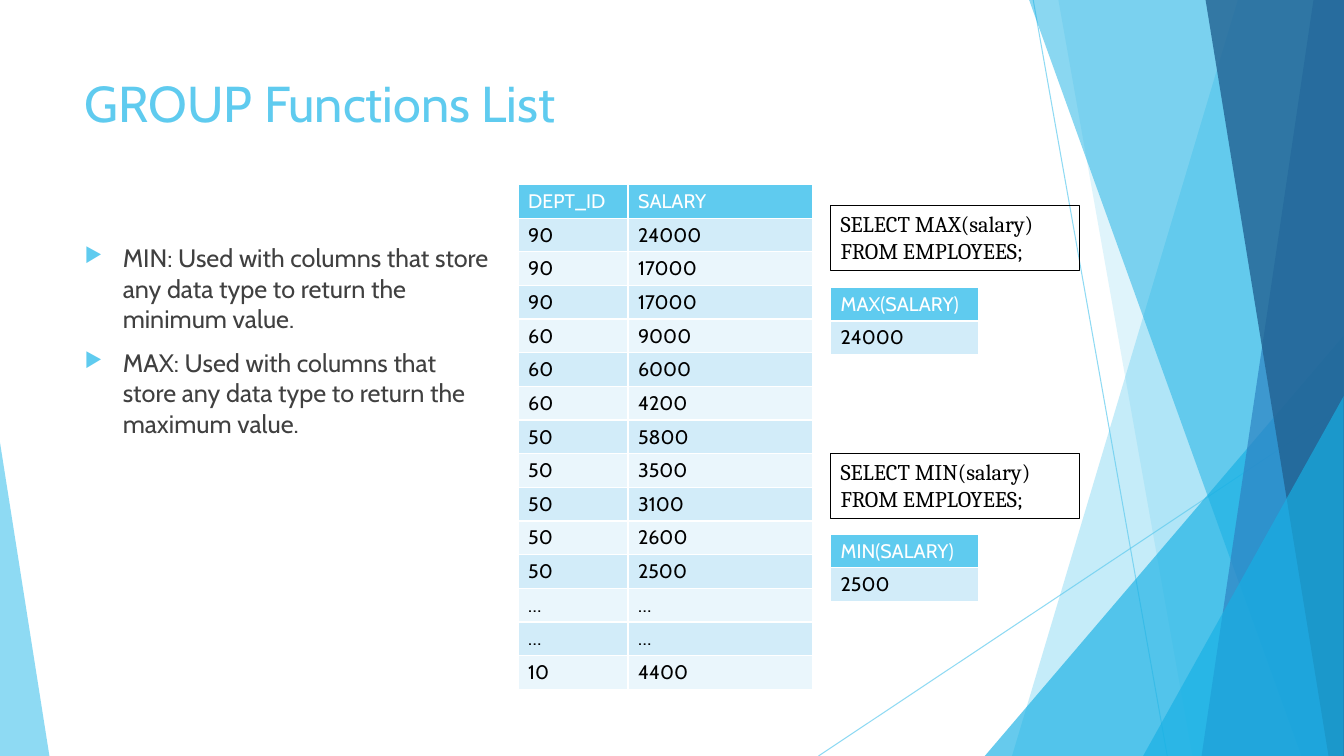
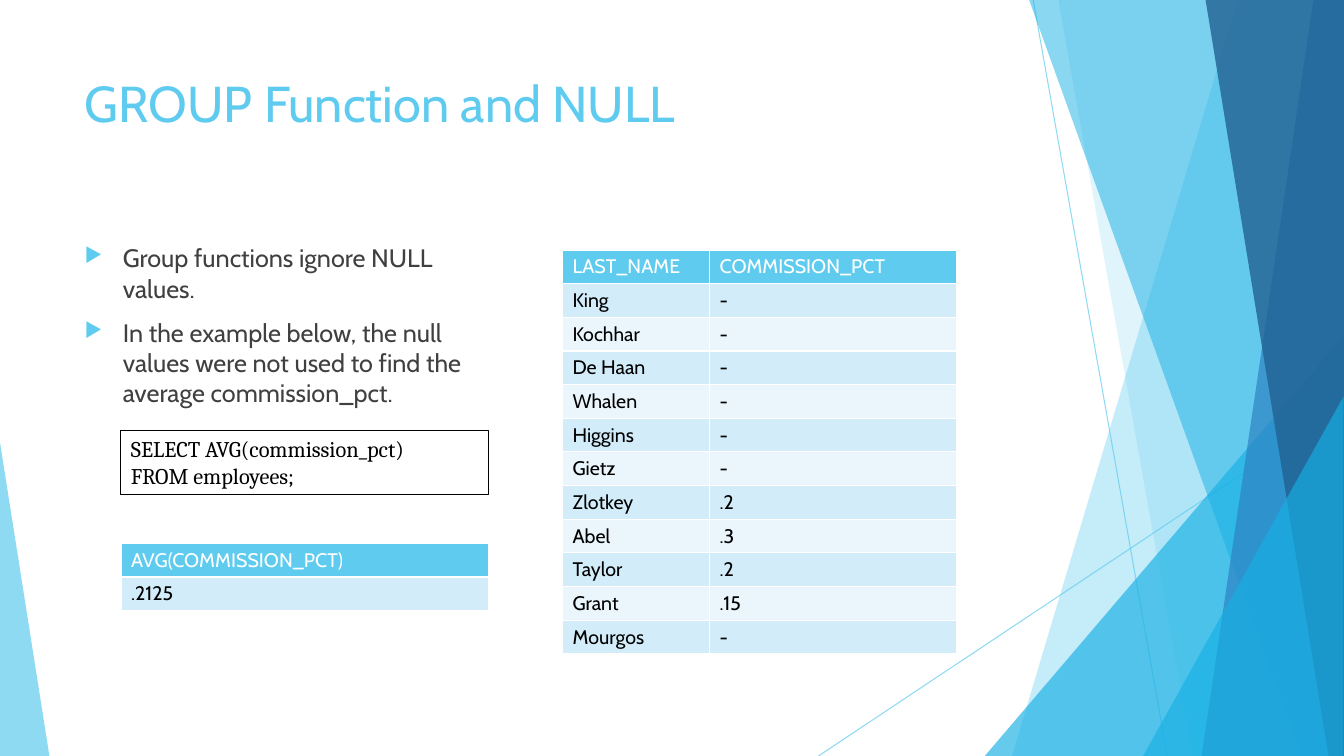
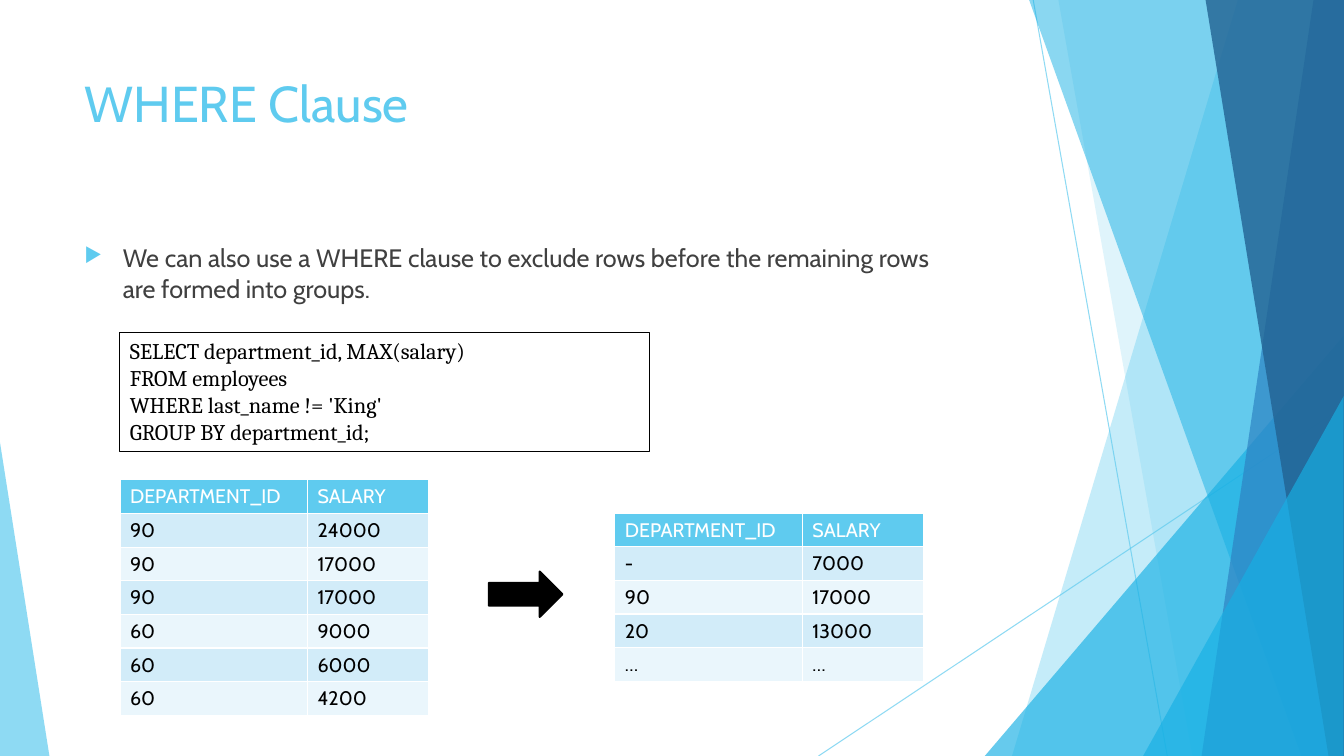
from dataclasses import dataclass
from typing import NamedTuple

from lxml.etree import SubElement as Sub
from pptx import Presentation
from pptx.dml.color import RGBColor as Rgb
from pptx.enum.shapes import MSO_CONNECTOR as Link, MSO_SHAPE as Form
from pptx.enum.text import MSO_ANCHOR as Anchor, PP_ALIGN as Align
from pptx.oxml.ns import qn
from pptx.util import Inches, Pt

INK = {
    "sky": "5FCBEF",
    "cyan": "17B0E4",
    "blue": "2E83C3",
    "navy": "226292",
    "odd": "D2ECF9",
    "even": "EAF6FC",
    "text": "404040",
    "black": "000000",
    "white": "FFFFFF",
}
SANS, SERIF = "Cabin", "Cambria"
UNITS = 10
WIDE, HIGH = 133.33, 75
ROW = HIGH / 22.5
LEFT = 7.4
DENT = 3.8


class Box(NamedTuple):
    x: float
    y: float
    w: float
    h: float


class Ray(NamedTuple):
    x1: float
    y1: float
    x2: float
    y2: float


class Band(NamedTuple):
    top: float
    foot: float
    ink: str
    alpha: int


class Wedge(NamedTuple):
    box: Box
    tip: int
    ink: str
    alpha: int


@dataclass
class Code:
    box: Box
    lines: list[str]


@dataclass
class Grid:
    x: float
    y: float
    cols: list[float]
    rows: list[list[str]]


@dataclass
class Page:
    title: str
    width: float
    points: list[str]
    codes: list[Code]
    grids: list[Grid]
    arrow: Box | None = None


DECOR = [
    Ray(102.5, 0, 115.8, HIGH),
    Ray(WIDE, 40.3, 81.2, HIGH),
    Band(122.8, 100.4, "sky", 36),
    Band(105, 118.3, "sky", 20),
    Wedge(Box(97.7, 33.3, 35.6, 41.7), 1, "cyan", 66),
    Band(102.1, 129.1, "cyan", 50),
    Band(130.3, 119.2, "blue", 70),
    Band(119.6, 131.8, "navy", 80),
    Wedge(Box(113.4, 39.3, 19.9, 35.7), 1, "cyan", 66),
    Wedge(Box(0, 43.9, 4.9, 31.1), 0, "sky", 70),
]

PAY = [
    ["90", "24000"],
    ["90", "17000"],
    ["90", "17000"],
    ["60", "9000"],
    ["60", "6000"],
    ["60", "4200"],
]
DEPT = ["DEPARTMENT_ID", "SALARY"]
MORE = ["…", "…"]

PAGES = [
    Page(
        "GROUP Functions List",
        42.2,
        [
            "MIN: Used with columns that store any data type to return the minimum value.",
            "MAX: Used with columns that store any data type to return the maximum value.",
        ],
        [
            Code(Box(82.4, y, 24.7, 6.4), [f"SELECT {name}(salary) FROM EMPLOYEES;"])
            for name, y in (("MAX", 20.4), ("MIN", 45))
        ],
        [
            Grid(51.4, 18.3, [10.9, 18.3], [
                ["DEPT_ID", "SALARY"],
                *PAY,
                *(["50", pay] for pay in ("5800", "3500", "3100", "2600", "2500")),
                MORE,
                MORE,
                ["10", "4400"],
            ]),
            Grid(82.4, 28.5, [14.7], [["MAX(SALARY)"], ["24000"]]),
            Grid(82.4, 53, [14.7], [["MIN(SALARY)"], ["2500"]]),
        ],
    ),
    Page(
        "GROUP Function and NULL",
        43.2,
        [
            "Group functions ignore NULL values.",
            "In the example below, the null values were not used to find the average commission_pct.",
        ],
        [Code(Box(12, 42.7, 36.5, 6.4), ["SELECT AVG(commission_pct)", "FROM employees;"])],
        [
            Grid(12, 53.9, [36.5], [["AVG(COMMISSION_PCT)"], [".2125"]]),
            Grid(55.8, 24.8, [14.6, 24.5], [
                ["LAST_NAME", "COMMISSION_PCT"],
                ["King", "-"],
                ["Kochhar", "-"],
                ["De Haan", "-"],
                ["Whalen", "-"],
                ["Higgins", "-"],
                ["Gietz", "-"],
                ["Zlotkey", ".2"],
                ["Abel", ".3"],
                ["Taylor", ".2"],
                ["Grant", ".15"],
                ["Mourgos", "-"],
            ]),
        ],
    ),
    Page(
        "WHERE Clause",
        89.4,
        ["We can also use a WHERE clause to exclude rows before the remaining rows are formed into groups."],
        [
            Code(Box(11.9, 33, 52.5, 11.8), [
                "SELECT department_id, MAX(salary)",
                "FROM employees",
                "WHERE last_name != 'King'",
                "GROUP BY department_id;",
            ])
        ],
        [
            Grid(11.9, 47.6, [18.6, 12], [DEPT, *PAY]),
            Grid(61, 50.9, [18.6, 12], [
                DEPT, ["-", "7000"], ["90", "17000"], ["20", "13000"], MORE,
            ]),
        ],
        Box(48.5, 56.7, 7.3, 4.5),
    ),
]


def unit(n: float) -> int:
    return Inches(n / UNITS)


def place(box: tuple) -> list[int]:
    return [unit(n) for n in box]


def hue(name: str) -> Rgb:
    return Rgb.from_string(INK[name])


def fade(shape, alpha: int) -> None:
    tone = shape.element.spPr.find(".//" + qn("a:srgbClr"))
    Sub(tone, qn("a:alpha"), val=str(alpha * 1000))


def style(para, face: str, size: int, ink: str) -> None:
    font = para.font
    font.name, font.size, font.bold = face, Pt(size), False
    font.color.rgb = hue(ink)


def write(frame, lines: list[str], face: str, size: int, ink: str) -> None:
    frame.word_wrap = True
    frame.text = "\n".join(lines)
    for para in frame.paragraphs:
        para.alignment = Align.LEFT
        style(para, face, size, ink)


def mark(para) -> None:
    para.space_before = Pt(10)
    prop = para._p.get_or_add_pPr()
    prop.set("marL", str(unit(DENT)))
    prop.set("indent", str(-unit(DENT)))
    last = prop.find(qn("a:defRPr"))
    tone = Sub(prop, qn("a:buClr"))
    Sub(tone, qn("a:srgbClr"), val=INK["sky"])
    Sub(prop, qn("a:buSzPct"), val="80000")
    Sub(prop, qn("a:buChar"), char="▶")
    prop.append(last)


def flat(shape, ink: str, alpha: int) -> None:
    shape.shadow.inherit = False
    shape.fill.solid()
    shape.fill.fore_color.rgb = hue(ink)
    shape.line.fill.background()
    fade(shape, alpha)


def draw_ray(slide, ray: Ray):
    line = slide.shapes.add_connector(Link.STRAIGHT, *place(ray))
    line.line.color.rgb = hue("sky")
    line.line.width = Pt(0.75)
    fade(line, 70)
    Sub(line.element.spPr, qn("a:effectLst"))
    return line


def draw_band(slide, band: Band):
    pen = slide.shapes.build_freeform(unit(band.top), 0)
    ends = [(WIDE, 0), (WIDE, HIGH), (band.foot, HIGH)]
    pen.add_line_segments([place(end) for end in ends], close=True)
    shape = pen.convert_to_shape()
    flat(shape, band.ink, band.alpha)
    return shape


def draw_wedge(slide, wedge: Wedge):
    shape = slide.shapes.add_shape(Form.ISOSCELES_TRIANGLE, *place(wedge.box))
    shape.adjustments[0] = wedge.tip
    flat(shape, wedge.ink, wedge.alpha)
    return shape


def dress(layout, slide) -> None:
    pens = {Ray: draw_ray, Band: draw_band, Wedge: draw_wedge}
    for item in DECOR:
        shape = pens[type(item)](slide, item)
        layout.shapes.element.append(shape.element)


def draw_code(slide, code: Code) -> None:
    shape = slide.shapes.add_shape(Form.RECTANGLE, *place(code.box))
    shape.shadow.inherit = False
    shape.fill.background()
    shape.line.color.rgb = hue("black")
    shape.line.width = Pt(0.75)
    shape.text_frame.vertical_anchor = Anchor.TOP
    write(shape.text_frame, code.lines, SERIF, 16, "black")


def draw_grid(slide, grid: Grid) -> None:
    count = len(grid.rows)
    box = Box(grid.x, grid.y, sum(grid.cols), count * ROW)
    table = slide.shapes.add_table(count, len(grid.cols), *place(box)).table
    for col, width in zip(table.columns, grid.cols):
        col.width = unit(width)
    for r, row in enumerate(grid.rows):
        back = "sky" if r == 0 else "odd" if r % 2 else "even"
        for c, word in enumerate(row):
            cell = table.cell(r, c)
            cell.fill.solid()
            cell.fill.fore_color.rgb = hue(back)
            cell.text = word
            style(cell.text_frame.paragraphs[0], SANS, 14, "black" if r else "white")


def draw_arrow(slide, box: Box) -> None:
    shape = slide.shapes.add_shape(Form.RIGHT_ARROW, *place(box))
    shape.shadow.inherit = False
    shape.fill.solid()
    shape.fill.fore_color.rgb = hue("black")
    shape.line.color.rgb = hue("black")
    shape.line.width = Pt(1.5)


def draw_page(slide, page: Page) -> None:
    head = slide.shapes.add_textbox(*place(Box(LEFT, 6.7, 94, 14.4)))
    write(head.text_frame, [page.title], SANS, 36, "sky")
    body = slide.shapes.add_textbox(*place(Box(LEFT, 23.6, page.width, 42.4)))
    write(body.text_frame, page.points, SANS, 18, "text")
    for para in body.text_frame.paragraphs:
        mark(para)
    for code in page.codes:
        draw_code(slide, code)
    for grid in page.grids:
        draw_grid(slide, grid)
    if page.arrow:
        draw_arrow(slide, page.arrow)


def main() -> None:
    deck = Presentation()
    deck.slide_width, deck.slide_height = unit(WIDE), unit(HIGH)
    blank = deck.slide_layouts[6]
    slides = [deck.slides.add_slide(blank) for _ in PAGES]
    dress(blank, slides[0])
    for slide, page in zip(slides, PAGES):
        draw_page(slide, page)
    deck.save("out.pptx")


if __name__ == "__main__":
    main()
